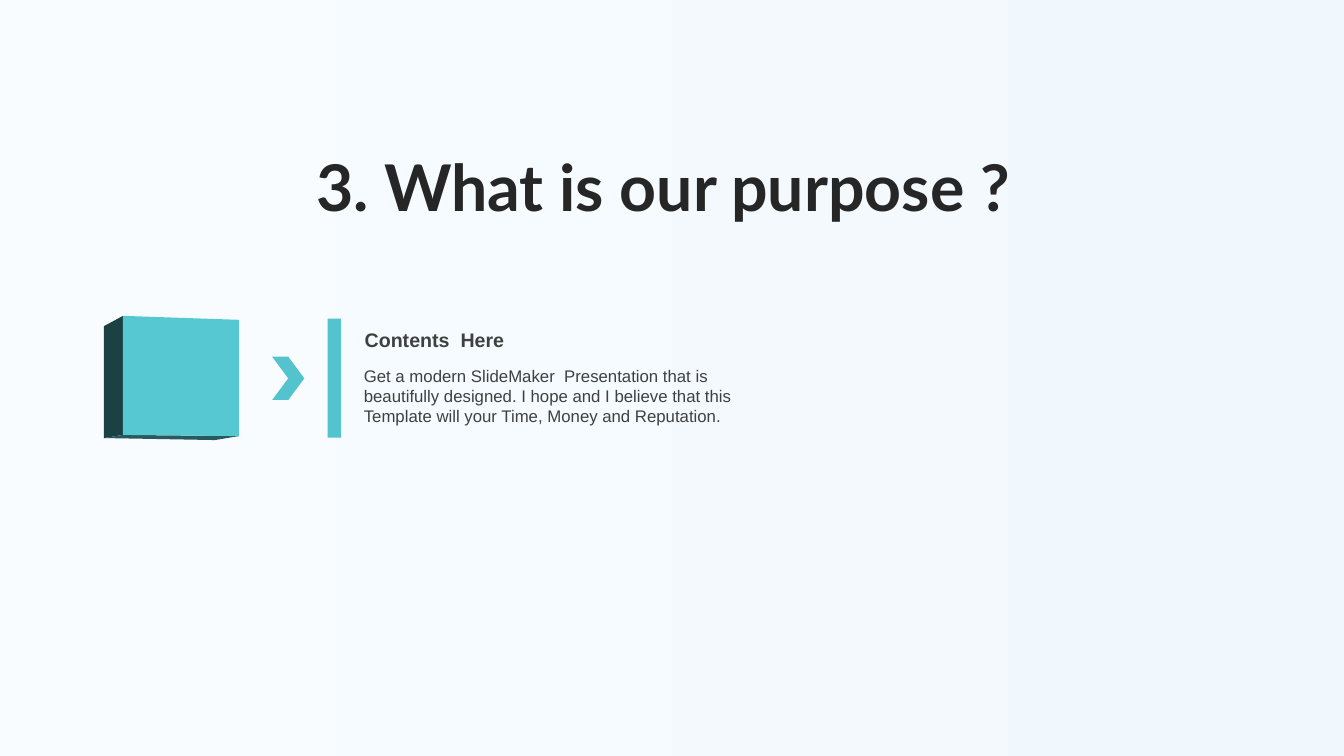
from pptx import Presentation
from pptx.dml.color import RGBColor
from pptx.enum.shapes import MSO_SHAPE
from pptx.enum.text import MSO_ANCHOR, MSO_AUTO_SIZE, PP_ALIGN
from pptx.util import Cm, Pt

RECT, CHEVRON = MSO_SHAPE.RECTANGLE, MSO_SHAPE.CHEVRON
TOP, LEFT, NO_FIT = MSO_ANCHOR.TOP, PP_ALIGN.LEFT, MSO_AUTO_SIZE.NONE

COLORS = {
    "bg_right": "F0F8FD",
    "bg_left": "F8FCFE",
    "teal": "53C3CD",
    "cube_front": "56C8D2",
    "cube_side": "1C4144",
    "cube_bottom": "28595E",
    "title": "262626",
    "text": "404040",
}

TITLE = {"name": "Lato", "size": Pt(46), "bold": True}
HEADING = {"name": "Arial", "size": Pt(14), "bold": True}
BODY = {"name": "Arial", "size": Pt(12), "bold": False}

CUBE_FACES = {
    "cube_side": [(2.62, 8.22), (3.1, 7.96), (3.1, 10.96), (2.62, 11.04)],
    "cube_bottom": [(2.62, 11.04), (3.1, 10.96), (6.02, 10.99), (5.42, 11.09)],
    "cube_front": [(3.1, 7.96), (6.02, 8.06), (6.02, 10.99), (3.1, 10.96)],
}


def rgb(color):
    """Return the named colour."""
    return RGBColor.from_string(COLORS[color])


def paint(sp, color):
    """Give a shape a plain fill without line or shadow."""
    sp.shadow.inherit = False
    sp.fill.solid()
    sp.fill.fore_color.rgb = rgb(color)
    sp.line.fill.background()


def set_background(s):
    """Fill the slide with a horizontal gradient."""
    fill = s.background.fill
    fill.gradient()
    fill.gradient_angle = 180
    for stop, color in zip(fill.gradient_stops, ("bg_right", "bg_left")):
        stop.color.rgb = rgb(color)


def add_block(s, kind, left, top, width, height):
    """Add a teal preset shape."""
    sp = s.shapes.add_shape(kind, Cm(left), Cm(top), Cm(width), Cm(height))
    paint(sp, "teal")


def add_face(s, points, color):
    """Add one face of the cube."""
    corners = [(Cm(x), Cm(y)) for x, y in points]
    builder = s.shapes.build_freeform(*corners[0])
    builder.add_line_segments(corners[1:], close=True)
    paint(builder.convert_to_shape(), color)


def write(sp, box, text, fmt, color):
    """Place a text shape and set its formatted text."""
    for side, value in zip(("left", "top", "width", "height"), box):
        setattr(sp, side, Cm(value))
    tf = sp.text_frame
    frame = {"word_wrap": True, "auto_size": NO_FIT, "vertical_anchor": TOP}
    for key, value in frame.items():
        setattr(tf, key, value)
    p = tf.paragraphs[0]
    p.alignment = LEFT
    r = p.add_run()
    r.text = text
    for key, value in fmt.items():
        setattr(r.font, key, value)
    r.font.color.rgb = rgb(color)


def add_text(s, box, text, fmt):
    """Add a text box."""
    sp = s.shapes.add_textbox(*map(Cm, box))
    write(sp, box, text, fmt, "text")


def main():
    """Build and save the slide."""
    prs = Presentation()
    prs.slide_width, prs.slide_height = Cm(33.87), Cm(19.05)
    s = prs.slides.add_slide(prs.slide_layouts[5])
    set_background(s)
    write(s.shapes.title, (7.72, 3.58, 18.42, 2.24),
          "3. What is our purpose ?", TITLE, "title")
    for color, points in CUBE_FACES.items():
        add_face(s, points, color)
    add_block(s, CHEVRON, 6.86, 8.99, 0.81, 1.09)
    add_block(s, RECT, 8.26, 8.03, 0.33, 3)
    add_text(s, (8.94, 8.15, 10.03, 0.86), "Contents  Here", HEADING)
    add_text(s, (8.92, 9.09, 10.03, 1.8),
             "Get a modern SlideMaker  Presentation that is beautifully "
             "designed. I hope and I believe that this Template will your "
             "Time, Money and Reputation.", BODY)
    prs.save("out.pptx")


if __name__ == "__main__":
    main()
